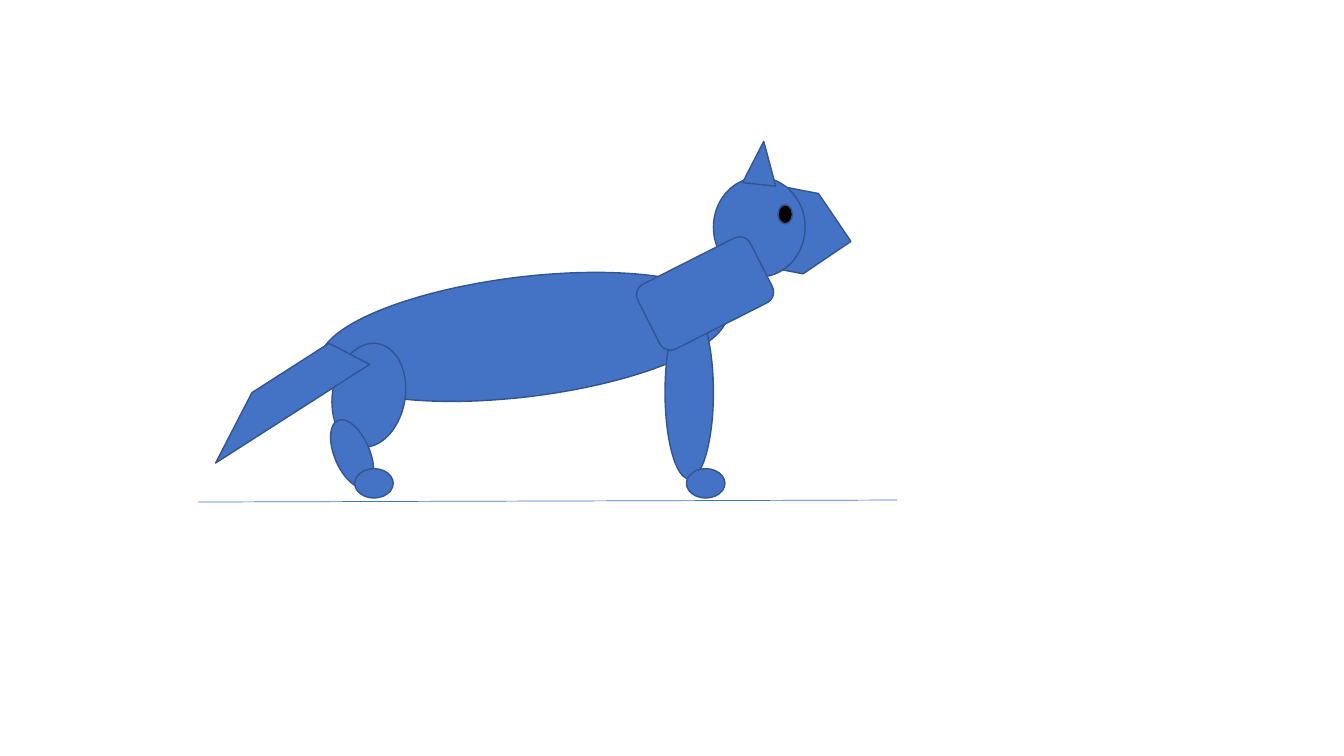
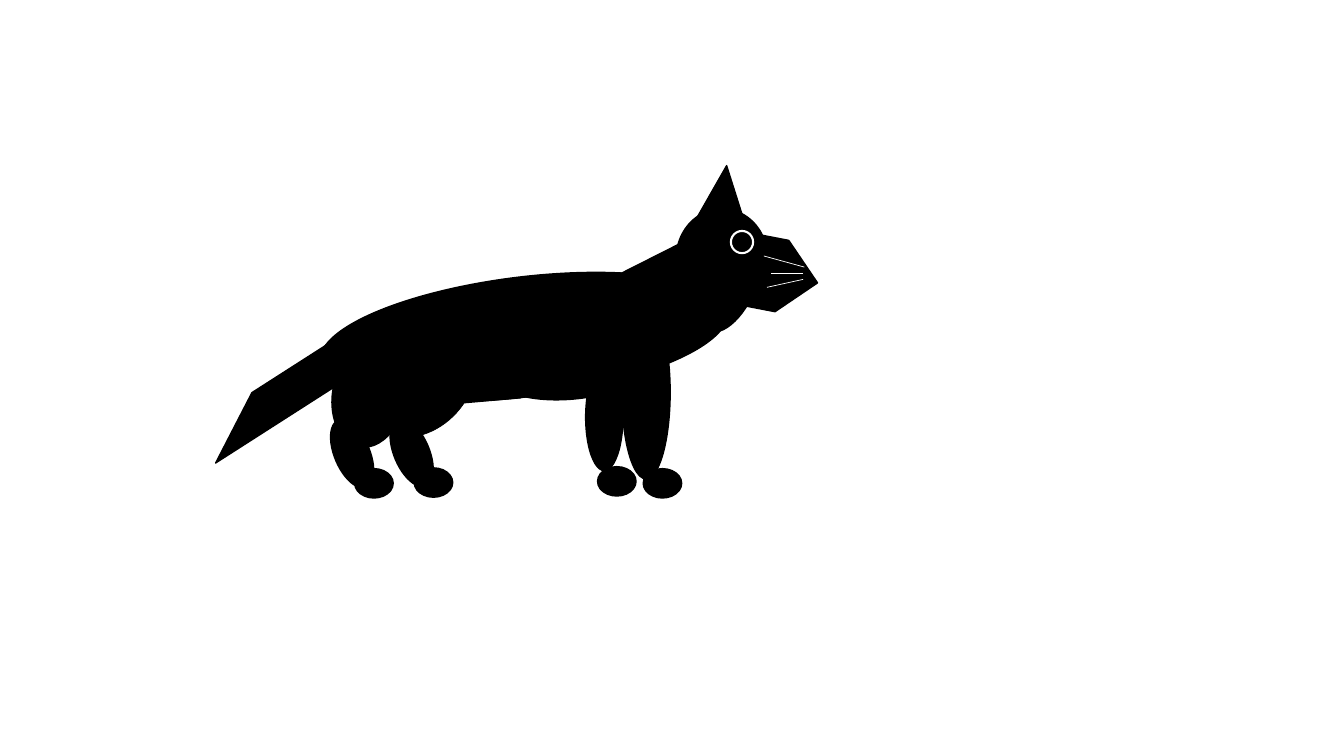
import dataclasses

import pptx
import pptx.dml.color
import pptx.enum.shapes
import pptx.oxml.ns
import pptx.util
from lxml import etree

Cm = pptx.util.Cm
Kind = pptx.enum.shapes.MSO_SHAPE


@dataclasses.dataclass(frozen=True)
class Theme:
    blue: str = "4472C4"
    outline: str = "325491"
    black: str = "000000"
    white: str = "FFFFFF"
    hairline: float = 0.5
    thin: float = 1
    ring: float = 1.5
    belly: float = 4.5
    throat: float = 6


theme = Theme()


def add_part(slide, kind, box, rotation=0, fill=theme.black, line=theme.black, weight=theme.thin):
    """Add a preset shape; box is left, top, width and height in centimetres."""
    shape = slide.shapes.add_shape(kind, *(Cm(length) for length in box))
    shape.rotation = rotation
    shape.shadow.inherit = False
    shape.fill.solid()
    shape.fill.fore_color.rgb = pptx.dml.color.RGBColor.from_string(fill)
    shape.line.color.rgb = pptx.dml.color.RGBColor.from_string(line)
    shape.line.width = pptx.util.Pt(weight)


def add_stroke(slide, ends, color, weight=theme.hairline):
    """Add a straight line; ends is x1, y1, x2 and y2 in centimetres."""
    connector = slide.shapes.add_connector(
        pptx.enum.shapes.MSO_CONNECTOR.STRAIGHT, *(Cm(length) for length in ends)
    )
    connector.line.color.rgb = pptx.dml.color.RGBColor.from_string(color)
    connector.line.width = pptx.util.Pt(weight)
    etree.SubElement(connector._element.spPr, pptx.oxml.ns.qn("a:effectLst"))


presentation = pptx.Presentation()
presentation.slide_width = Cm(33.87)
presentation.slide_height = Cm(19.05)
blank_layout = presentation.slide_layouts[6]
blue_slide = presentation.slides.add_slide(blank_layout)
black_slide = presentation.slides.add_slide(blank_layout)

# Parts that both animals share, from back to front
paw_size = (0.97, 0.74)
shin_size = (0.89, 1.83)
shin_turn = 337
hind_parts = [
    (Kind.OVAL, (8.03, 6.98, 10.34, 3.02), 353),  # body
    (Kind.OVAL, (8.38, 8.64, 1.83, 2.64), 10.1),  # thigh
    (Kind.OVAL, (8.43, 10.52, *shin_size), shin_turn),
    (Kind.OVAL, (8.94, 11.81, *paw_size), 0),
]
tail = (Kind.DIAGONAL_STRIPE, (6.22, 8.43, 2.31, 3.99), 27.3)

# The front of each animal: foreleg shift, then muzzle, head, ear and eye boxes
animals = [
    (blue_slide, theme.blue, theme.outline, 0,
     (18.57, 4.78, 2.9, 2.06), (17.98, 4.47), (18.77, 3.56, 0.84, 1.09), (19.61, 5.16)),
    (black_slide, theme.black, theme.black, -1.09,
     (17.73, 5.94, 2.9, 1.83), (17.04, 5.26), (17.6, 4.17, 1.27, 1.45), (18.67, 5.94)),
]
for slide, fill, line, shift, muzzle, head, ear, eye in animals:
    parts = hind_parts + [
        (Kind.OVAL, (16.76 + shift, 7.7, 1.22, 4.37), 0),  # foreleg
        (Kind.OVAL, (17.3 + shift, 11.81, *paw_size), 0),
        (Kind.PENTAGON, muzzle, 10.9),
        (Kind.OVAL, (*head, 2.31, 2.51), 0),
        (Kind.ISOSCELES_TRIANGLE, ear, 6.1),
        (Kind.ROUNDED_RECTANGLE, (16.18 + shift, 6.48, 3.18, 1.83), 333.2),  # neck
        tail,
    ]
    for kind, box, rotation in parts:
        add_part(slide, kind, box, rotation, fill, line)
    add_part(slide, Kind.OVAL, (*eye, 0.36, 0.48), line=line)

# Ground under the blue animal
add_stroke(blue_slide, (5, 12.65, 22.61, 12.6), theme.blue)

# Throat, whiskers and eye ring of the black animal
add_part(black_slide, Kind.ARC, (17.27, 6.73, 2.26, 1.02), 116.8, weight=theme.throat)
for whisker in [
    (20.27, 6.73, 19.25, 6.45),
    (20.24, 6.88, 19.43, 6.88),
    (20.24, 7.04, 19.33, 7.24),
]:
    add_stroke(black_slide, whisker, theme.white)
add_part(black_slide, Kind.OVAL, (18.42, 5.82, 0.56, 0.56), line=theme.white, weight=theme.ring)

# Far legs and belly of the black animal
for box, rotation in [
    ((9.93, 10.49, *shin_size), shin_turn),
    ((10.44, 11.79, *paw_size), 0),
    ((14.76, 9.17, 0.94, 2.69), 0),  # far foreleg
    ((15.06, 11.76, *paw_size), 0),
    ((12.52, 8.69, 3.71, 1.37), 355.2),  # belly
]:
    add_part(black_slide, Kind.OVAL, box, rotation)
add_part(black_slide, Kind.ARC, (8.1, 7.06, 4.19, 3.76), 97.7, weight=theme.hairline)
add_stroke(black_slide, (10.29, 10.21, 13.13, 9.96), theme.black, theme.belly)

presentation.save("out.pptx")
